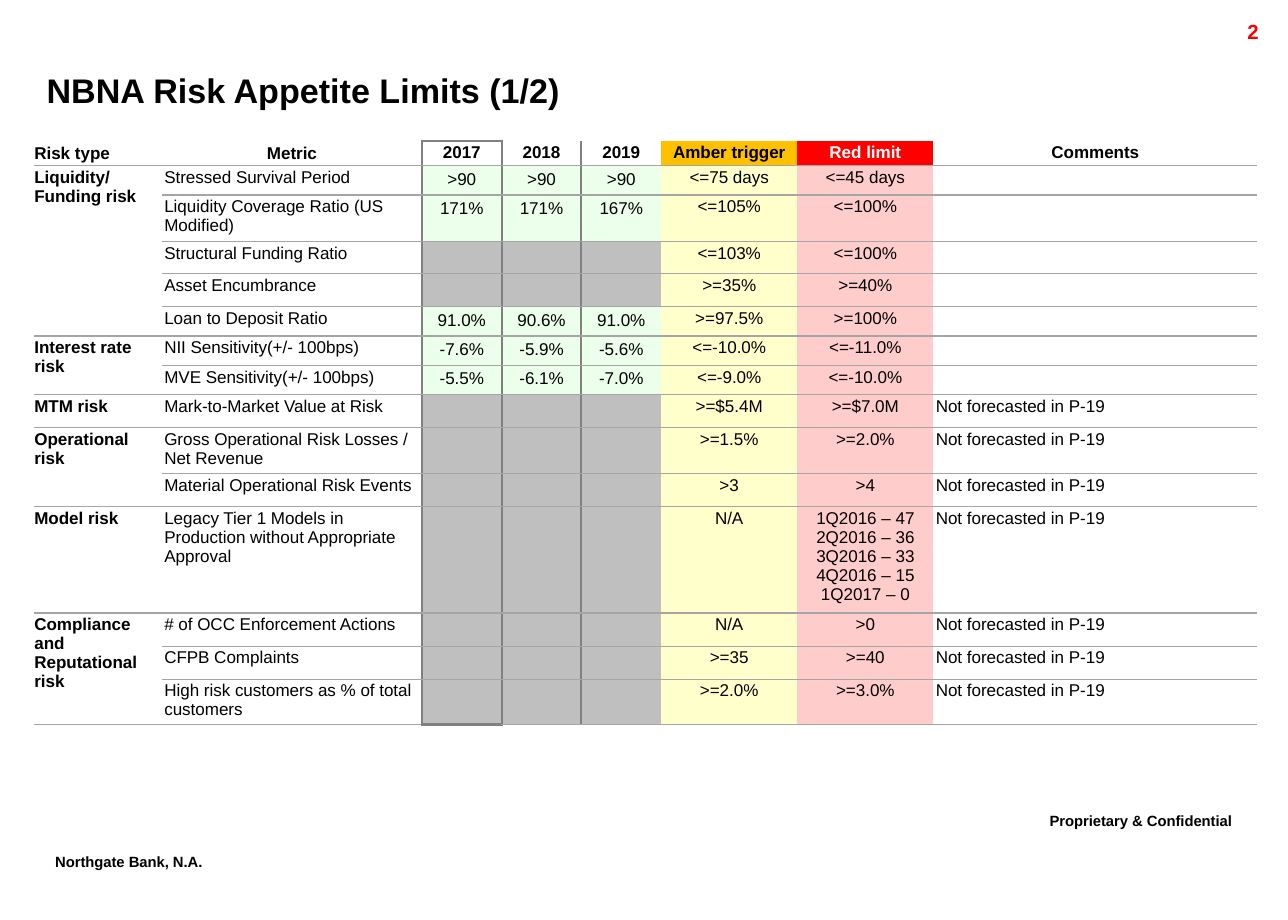
"""Build the risk appetite limits slide."""
from dataclasses import dataclass
from typing import Any

from lxml.etree import SubElement
from pptx import Presentation
from pptx.dml.color import RGBColor
from pptx.enum.text import MSO_ANCHOR as ANCHOR, PP_ALIGN as ALIGN
from pptx.oxml.ns import qn
from pptx.util import Inches, Pt

BLACK = RGBColor(0x00, 0x00, 0x00)
WHITE = RGBColor(0xFF, 0xFF, 0xFF)
RED = RGBColor(0xFF, 0x00, 0x00)
AMBER = RGBColor(0xFF, 0xC0, 0x00)
PALE_GREEN = RGBColor(0xEB, 0xFF, 0xEB)
PALE_AMBER = RGBColor(0xFF, 0xFF, 0xCC)
PALE_RED = RGBColor(0xFF, 0xCC, 0xCC)
NO_DATA = RGBColor(0xBF, 0xBF, 0xBF)
RULE = RGBColor(0xA5, 0xA5, 0xA5)
FRAME = RGBColor(0x80, 0x80, 0x80)

HEADERS = ("Risk type", "Metric", "2017", "2018", "2019",
           "Amber trigger", "Red limit", "Comments")
COL_WIDTHS = (1.04, 2.12, 0.65, 0.65, 0.65, 1.11, 1.11, 2.64)
HEADER_FILLS = {5: AMBER, 6: RED}
HEADER_HEIGHT = 0.2
YEAR_COLS = range(2, 5)
FRAMED_COL = 2
NOT_FORECAST = "Not forecasted in P-19"


@dataclass
class Limit:
    """One metric with its forecasts and limits."""
    metric: str
    amber: str
    red: str
    height: float
    years: tuple[str, ...] = ("", "", "")
    comment: str = ""


@dataclass
class Label:
    """One line of text outside the table."""
    text: str
    box: tuple[float, float, float, float]
    size: float
    color: RGBColor
    align: Any
    wrap: bool = True
    spacing: float = 1.0
    baseline: int = 0


RISKS = {
    "Liquidity/ Funding risk": [
        Limit("Stressed Survival Period", "<=75 days", "<=45 days", 0.24, (">90", ">90", ">90")),
        Limit("Liquidity Coverage Ratio (US Modified)", "<=105%", "<=100%", 0.38,
              ("171%", "171%", "167%")),
        Limit("Structural Funding Ratio", "<=103%", "<=100%", 0.26),
        Limit("Asset Encumbrance", ">=35%", ">=40%", 0.27),
        Limit("Loan to Deposit Ratio", ">=97.5%", ">=100%", 0.24, ("91.0%", "90.6%", "91.0%")),
    ],
    "Interest rate risk": [
        Limit("NII Sensitivity(+/- 100bps)", "<=-10.0%", "<=-11.0%", 0.24,
              ("-7.6%", "-5.9%", "-5.6%")),
        Limit("MVE Sensitivity(+/- 100bps)", "<=-9.0%", "<=-10.0%", 0.24,
              ("-5.5%", "-6.1%", "-7.0%")),
    ],
    "MTM risk": [
        Limit("Mark-to-Market Value at Risk", ">=$5.4M", ">=$7.0M", 0.27, comment=NOT_FORECAST),
    ],
    "Operational risk": [
        Limit("Gross Operational Risk Losses / Net Revenue", ">=1.5%", ">=2.0%", 0.37,
              comment=NOT_FORECAST),
        Limit("Material Operational Risk Events", ">3", ">4", 0.27, comment=NOT_FORECAST),
    ],
    "Model risk": [
        Limit("Legacy Tier 1 Models in Production without Appropriate Approval", "N/A",
              "1Q2016 – 47\n2Q2016 – 36\n3Q2016 – 33\n4Q2016 – 15\n1Q2017 – 0", 0.87,
              comment=NOT_FORECAST),
    ],
    "Compliance and Reputational risk": [
        Limit("# of OCC Enforcement Actions", "N/A", ">0", 0.27, comment=NOT_FORECAST),
        Limit("CFPB Complaints", ">=35", ">=40", 0.27, comment=NOT_FORECAST),
        Limit("High risk customers as % of total customers", ">=2.0%", ">=3.0%", 0.37,
              comment=NOT_FORECAST),
    ],
}

LABELS = (
    Label("Northgate Bank, N.A.", (0.21, 6.91, 1.68, 0.32), 15, BLACK, ALIGN.CENTER,
          False, 0.86, 30000),
    Label("Proprietary & Confidential", (8.21, 6.58, 2.18, 0.35), 15, BLACK, ALIGN.CENTER,
          True, 0.86, 30000),
    Label("2", (9.36, 0.11, 1, 0.24), 12, RED, ALIGN.RIGHT),
)


def apply(obj: Any, values: dict[str, Any]) -> None:
    """Set every named attribute on an object."""
    for name, value in values.items():
        setattr(obj, name, value)


def write(tf: Any, text: str, size: float, color: RGBColor = BLACK, bold: bool = True,
          **layout: Any) -> None:
    """Fill a text frame with evenly formatted paragraphs."""
    tf.text = text
    for p in tf.paragraphs:
        apply(p, layout)
        for r in p.runs:
            apply(r.font, {"name": "Arial", "size": Pt(size), "bold": bold})
            r.font.color.rgb = color
        if not p.runs:
            SubElement(p._p, qn("a:endParaRPr"), sz=str(int(size * 100)))


def add_border(cell: Any, side: str, color: RGBColor, width: float) -> None:
    """Draw one side of a table cell."""
    ln = SubElement(cell._tc.get_or_add_tcPr(), qn(f"a:ln{side}"), w=str(Pt(width)))
    SubElement(SubElement(ln, qn("a:solidFill")), qn("a:srgbClr"), val=str(color))


def draw_borders(cell: Any, row: int, col: int, last_row: int) -> None:
    """Rule the rows and frame the first year column."""
    if cell.is_spanned:
        return
    sides = {}
    if col in (FRAMED_COL, FRAMED_COL + 1):
        sides["L"] = (FRAME, 1.5)
    if col in (FRAMED_COL - 1, FRAMED_COL):
        sides["R"] = (FRAME, 1.5)
    if row > 0:
        sides["T"] = (RULE, 0.75)
    elif col == FRAMED_COL:
        sides["T"] = (FRAME, 1.5)
    framed_end = row == last_row and col == FRAMED_COL
    sides["B"] = (FRAME, 1.5) if framed_end else (RULE, 0.75)
    for side, (color, width) in sides.items():
        add_border(cell, side, color, width)


def fill_cell(cell: Any, row: int, col: int, text: str) -> None:
    """Write and colour one table cell."""
    is_year = row > 0 and col in YEAR_COLS
    margin = Inches(0.05 if is_year and text else 0.02)
    apply(cell, {"margin_left": Inches(0) if col == 0 else margin, "margin_top": margin,
                 "margin_right": margin, "margin_bottom": margin,
                 "vertical_anchor": ANCHOR.BOTTOM if row == 0 and col < 2 else ANCHOR.TOP})
    if row == 0:
        fill = HEADER_FILLS.get(col)
        left = col == 0
    else:
        year_fill = PALE_GREEN if text else NO_DATA
        fill = year_fill if is_year else {5: PALE_AMBER, 6: PALE_RED}.get(col)
        left = col in (0, 1, 7)
    if fill is None:
        cell.fill.background()
    else:
        cell.fill.solid()
        cell.fill.fore_color.rgb = fill
    layout = {"alignment": ALIGN.LEFT if left else ALIGN.CENTER}
    if is_year and text:
        layout["line_spacing"] = Pt(10)
    write(cell.text_frame, text, 10, WHITE if fill == RED else BLACK,
          row == 0 or col == 0, **layout)


def add_limits_table(s: Any) -> None:
    """Add the table of limits grouped by risk type."""
    rows, heights, spans = [HEADERS], [HEADER_HEIGHT], []
    for risk, limits in RISKS.items():
        spans.append((len(rows), len(rows) + len(limits) - 1))
        for i, m in enumerate(limits):
            rows.append(("" if i else risk, m.metric, *m.years, m.amber, m.red, m.comment))
            heights.append(m.height)
    frame = s.shapes.add_table(len(rows), len(HEADERS), Inches(0.28), Inches(1.15),
                               Inches(sum(COL_WIDTHS)), Inches(sum(heights)))
    table = frame.table
    apply(table, {"first_row": False, "horz_banding": False})
    table._tbl.tblPr.find(qn("a:tableStyleId")).text = "{2D5ABB26-0587-4C30-8999-92F81FD0307C}"
    for column, width in zip(table.columns, COL_WIDTHS):
        column.width = Inches(width)
    for table_row, height in zip(table.rows, heights):
        table_row.height = Inches(height)
    for first, last in spans:
        if last > first:
            table.cell(first, 0).merge(table.cell(last, 0))
    for row, texts in enumerate(rows):
        for col, text in enumerate(texts):
            cell = table.cell(row, col)
            draw_borders(cell, row, col, len(rows) - 1)
            fill_cell(cell, row, col, text)


def add_label(s: Any, label: Label) -> None:
    """Add one text box."""
    tf = s.shapes.add_textbox(*map(Inches, label.box)).text_frame
    tf.word_wrap = label.wrap
    write(tf, label.text, label.size, label.color,
          alignment=label.align, line_spacing=label.spacing)
    if label.baseline:
        tf.paragraphs[0].runs[0].font._element.set("baseline", str(label.baseline))


def main() -> None:
    """Create and save the slide."""
    prs = Presentation()
    apply(prs, {"slide_width": Inches(10.5), "slide_height": Inches(7.5)})
    s = prs.slides.add_slide(prs.slide_layouts[5])
    title = s.shapes.title
    apply(title, dict(zip(("left", "top", "width", "height"),
                          map(Inches, (0.38, 0.49, 9.48, 0.48)))))
    apply(title.text_frame, {"margin_left": 0, "margin_top": 0, "margin_right": 0,
                             "margin_bottom": 0, "vertical_anchor": ANCHOR.MIDDLE})
    write(title.text_frame, "NBNA Risk Appetite Limits (1/2)", 20, alignment=ALIGN.LEFT)
    add_limits_table(s)
    for label in LABELS:
        add_label(s, label)
    prs.save("out.pptx")


if __name__ == "__main__":
    main()
